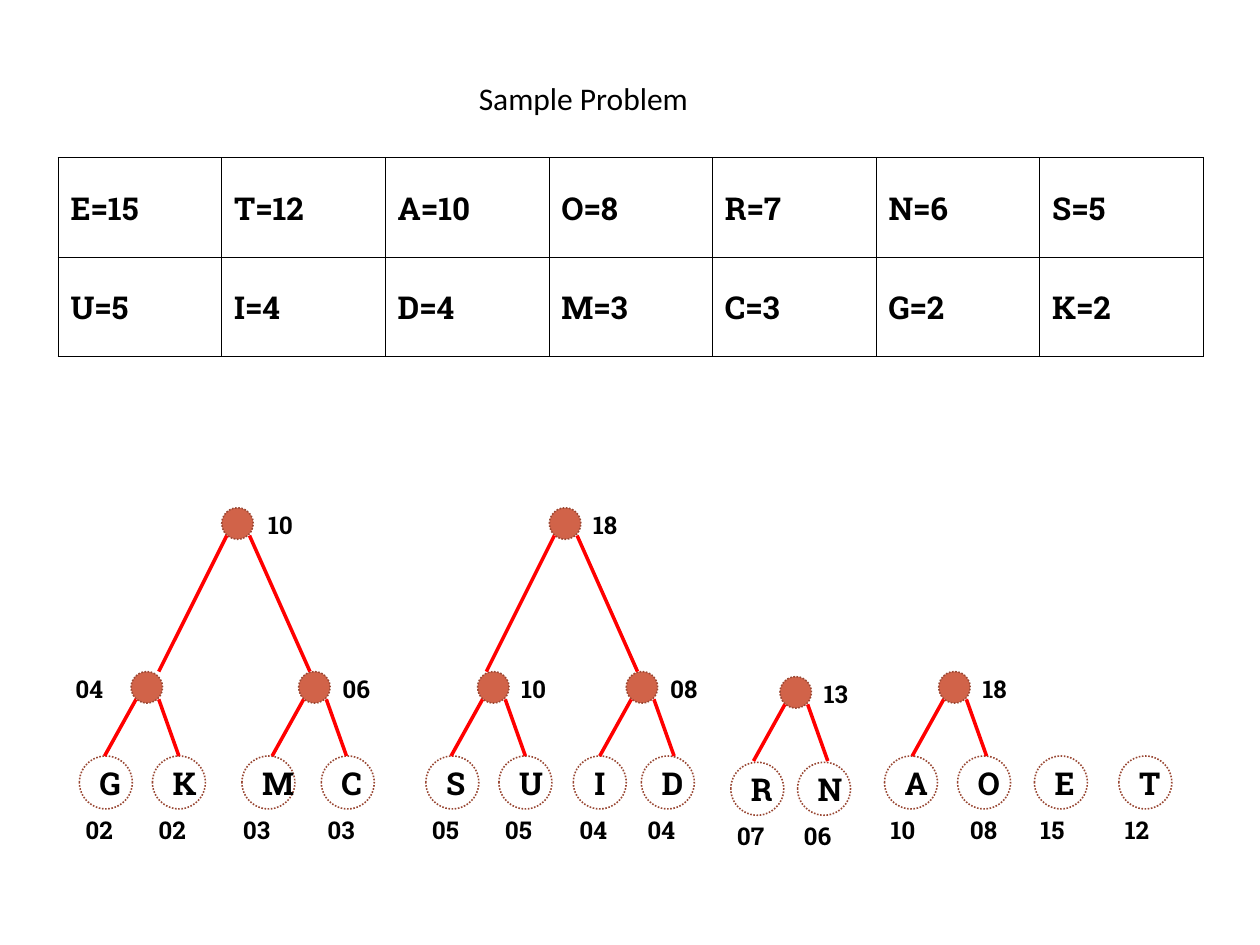
from dataclasses import dataclass

from lxml.etree import SubElement
from pptx import Presentation
from pptx.dml.color import RGBColor
from pptx.enum.dml import MSO_LINE
from pptx.enum.shapes import MSO_CONNECTOR, MSO_SHAPE
from pptx.enum.text import MSO_ANCHOR, MSO_AUTO_SIZE, PP_ALIGN
from pptx.oxml.ns import qn
from pptx.util import Inches, Pt

BLACK = RGBColor(0x00, 0x00, 0x00)
RED = RGBColor(0xFF, 0x00, 0x00)
CLAY = RGBColor(0xD1, 0x63, 0x49)
RUST = RGBColor(0x99, 0x47, 0x33)

SLAB = "Roboto Slab"
LEAF_SIZE = 0.42
NODE_SIZE = 0.25
EDGE_STARTS = (0.04, 0.22)
EDGE_TOP = 0.22

FREQUENCIES = (
    ("E=15", "T=12", "A=10", "O=8", "R=7", "N=6", "S=5"),
    ("U=5", "I=4", "D=4", "M=3", "C=3", "G=2", "K=2"),
)


@dataclass(frozen=True)
class Leaf:
    letter: str
    weight: str
    left: float
    top: float = 6.0
    label_shift: float = -0.05


@dataclass(frozen=True)
class Reach:
    """Where the two edges below a node end, measured from its corner."""
    left: float
    right: float
    down: float


@dataclass(frozen=True)
class Node:
    weight: str
    left: float
    top: float
    reach: Reach
    label_shift: float = 0.25


TO_LEAVES = Reach(-0.21, 0.38, 0.67)
TO_NODES = Reach(-0.5, 0.7, 1.3)

LEAVES = (
    Leaf("G", "02", 0.63),
    Leaf("K", "02", 1.21),
    Leaf("M", "03", 1.92, label_shift=-0.09),
    Leaf("C", "03", 2.55),
    Leaf("S", "05", 3.38),
    Leaf("U", "05", 3.96),
    Leaf("I", "04", 4.55),
    Leaf("D", "04", 5.09),
    Leaf("R", "07", 5.8, top=6.05),
    Leaf("N", "06", 6.33, top=6.05),
    Leaf("A", "10", 7.02),
    Leaf("O", "08", 7.6, label_shift=0),
    Leaf("E", "15", 8.21),
    Leaf("T", "12", 8.88),
)
NODES = (
    Node("04", 1.04, 5.33, TO_LEAVES, label_shift=-0.54),
    Node("06", 2.37, 5.33, TO_LEAVES),
    Node("10", 1.76, 4.03, TO_NODES, label_shift=0.27),
    Node("10", 3.79, 5.33, TO_LEAVES),
    Node("08", 4.97, 5.33, TO_LEAVES),
    Node("18", 4.36, 4.03, TO_NODES),
    Node("13", 6.19, 5.37, TO_LEAVES),
    Node("18", 7.45, 5.33, TO_LEAVES),
)


def write(frame, text: str, *, size: float = 18, font: str = SLAB, bold: bool = True,
          align=PP_ALIGN.LEFT, anchor=MSO_ANCHOR.MIDDLE) -> None:
    frame.vertical_anchor = anchor
    para = frame.paragraphs[0]
    para.alignment = align
    span = para.add_run()
    span.text = text
    span.font.size = Pt(size)
    span.font.name = font
    span.font.bold = bold
    span.font.color.rgb = BLACK


def add_circle(page, left: float, top: float, size: float):
    circle = page.shapes.add_shape(MSO_SHAPE.OVAL, Inches(left), Inches(top),
                                   Inches(size), Inches(size))
    circle.shadow.inherit = False
    circle.line.color.rgb = RUST
    circle.line.width = Pt(0.91)
    circle.line.dash_style = MSO_LINE.ROUND_DOT
    return circle


def add_weight(page, text: str, left: float, top: float) -> None:
    box = page.shapes.add_textbox(Inches(left), Inches(top), Inches(0.47), Inches(0.34))
    box.text_frame.word_wrap = False
    box.text_frame.auto_size = MSO_AUTO_SIZE.SHAPE_TO_FIT_TEXT
    write(box.text_frame, text, size=14, anchor=MSO_ANCHOR.TOP)


def add_edge(page, start: tuple[float, float], end: tuple[float, float]) -> None:
    edge = page.shapes.add_connector(MSO_CONNECTOR.STRAIGHT,
                                     *(Inches(value) for value in start + end))
    edge.line.color.rgb = RED
    edge.line.width = Pt(2)
    SubElement(edge.element.spPr, qn("a:effectLst"))


def add_leaf(page, leaf: Leaf) -> None:
    circle = add_circle(page, leaf.left, leaf.top, LEAF_SIZE)
    circle.fill.background()
    circle.text_frame.word_wrap = True
    write(circle.text_frame, leaf.letter, align=PP_ALIGN.CENTER)
    add_weight(page, leaf.weight, leaf.left + leaf.label_shift, leaf.top + LEAF_SIZE)


def add_node(page, node: Node) -> None:
    circle = add_circle(page, node.left, node.top, NODE_SIZE)
    circle.fill.solid()
    circle.fill.fore_color.rgb = CLAY
    for start, end in zip(EDGE_STARTS, (node.reach.left, node.reach.right)):
        add_edge(page, (node.left + start, node.top + EDGE_TOP),
                 (node.left + end, node.top + node.reach.down))
    add_weight(page, node.weight, node.left + node.label_shift, node.top - 0.03)


def add_borders(cell) -> None:
    properties = cell._tc.get_or_add_tcPr()
    for position, side in enumerate(("a:lnL", "a:lnR", "a:lnT", "a:lnB")):
        border = SubElement(properties, qn(side), w=str(Pt(0.23)))
        fill = SubElement(border, qn("a:solidFill"))
        SubElement(fill, qn("a:srgbClr"), val=str(BLACK))
        properties.insert(position, border)


def add_frequency_table(page) -> None:
    rows, columns = len(FREQUENCIES), len(FREQUENCIES[0])
    table = page.shapes.add_table(rows, columns, Inches(0.46), Inches(1.25),
                                  Inches(9.09), Inches(1.58)).table
    table.first_row = False
    table.horz_banding = False
    for row, entries in enumerate(FREQUENCIES):
        for column, entry in enumerate(entries):
            cell = table.cell(row, column)
            cell.fill.background()
            cell.margin_top = Inches(0.06)
            cell.vertical_anchor = MSO_ANCHOR.MIDDLE
            write(cell.text_frame, entry)
            cell.text_frame.paragraphs[0].line_spacing = 0.98
            add_borders(cell)


def add_title(page) -> None:
    title = page.shapes.title
    title.left, title.top = Inches(3.7), Inches(0.58)
    title.width, title.height = Inches(1.94), Inches(0.4)
    title.text_frame.word_wrap = False
    title.text_frame.auto_size = MSO_AUTO_SIZE.SHAPE_TO_FIT_TEXT
    write(title.text_frame, "Sample Problem", font="Calibri", bold=False,
          anchor=MSO_ANCHOR.TOP)


def main() -> None:
    deck = Presentation()
    deck.slide_width, deck.slide_height = Inches(10), Inches(7.5)
    page = deck.slides.add_slide(deck.slide_layouts[5])
    add_title(page)
    for leaf in LEAVES:
        add_leaf(page, leaf)
    for node in NODES:
        add_node(page, node)
    add_frequency_table(page)
    deck.save("out.pptx")


if __name__ == "__main__":
    main()
